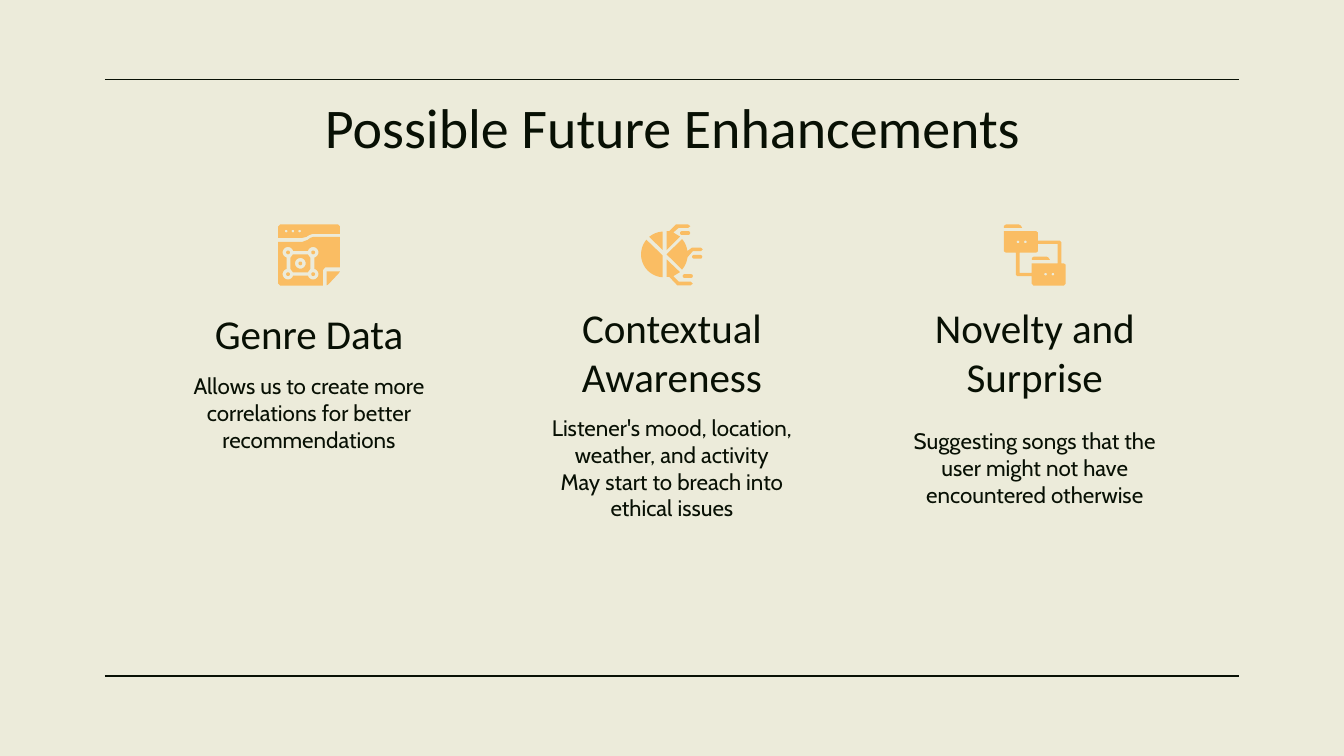
from dataclasses import dataclass
from math import cos, radians, sin

from lxml import etree
from pptx import Presentation
from pptx.dml.color import RGBColor
from pptx.enum.shapes import MSO_CONNECTOR
from pptx.enum.text import MSO_ANCHOR, PP_ALIGN
from pptx.oxml.ns import qn
from pptx.util import Inches, Pt

STRAIGHT = MSO_CONNECTOR.STRAIGHT
TOP, BOTTOM = MSO_ANCHOR.TOP, MSO_ANCHOR.BOTTOM
CENTER = PP_ALIGN.CENTER
CREAM, INK, AMBER = "ECEBDA", "081004", "FABD63"
SLIDE_WIDTH = 10
SLIDE_HEIGHT = SLIDE_WIDTH * 9 / 16
COLUMN_LEFT, COLUMN_STEP, COLUMN_WIDTH = 1.22, 2.7, 2.16
ICON_INSET, ICON_TOP, ICON_UNIT = 0.85, 1.67, 0.01

Contour = list[tuple[float, float]]
Icon = list[list[Contour]]


@dataclass
class Column:
    """One enhancement: its icon, heading and body, with their vertical places."""
    icon: Icon
    heading: str
    heading_top: float
    heading_height: float
    body: list[str]
    body_top: float
    body_height: float


def rgb(color: str) -> RGBColor:
    """Turn a hex string into a colour."""
    return RGBColor.from_string(color)


def arc(cx: float, cy: float, r: float, start: float, end: float) -> Contour:
    """Return points along a circular arc, angles in degrees clockwise from east."""
    angles = [radians(start + (end - start) * i / 24) for i in range(25)]
    return [(cx + r * cos(a), cy + r * sin(a)) for a in angles]


def dot(cx: float, cy: float, r: float = 1.4) -> Contour:
    """Return a circle."""
    return arc(cx, cy, r, 0, 360)


def pill(x: float, y: float, w: float = 7.5, h: float = 2.8) -> Contour:
    """Return a bar with round ends."""
    r = h / 2
    return arc(x + r, y + r, r, 90, 270) + arc(x + w - r, y + r, r, -90, 90)


def tab(x: float, y: float) -> Contour:
    """Return the tab on top of a folder."""
    return [(x, y + 2.5), (x, y + 1), (x + 1.5, y), (x + 11, y), (x + 12.5, y + 0.8), (x + 13.5, y + 2.5)]


def genre_icon() -> Icon:
    """Return a window with a node diagram and a folded corner."""
    header = [(1.5, 0), (44.5, 0), (46, 1.5), (46, 7), (26, 7), (23, 8), (21, 9.3), (18, 10), (0, 10), (0, 1.5)]
    page = [(0, 13), (18, 13), (22, 11.5), (24, 10), (26, 9.3), (46, 9.3), (46, 32), (35, 32),
            (33.3, 34), (33.3, 45.5), (1.5, 45.5), (0, 44)]
    frame = (arc(7.3, 20.8, 4, 105, 345) + arc(26, 20.8, 4, 195, 435)
             + arc(26, 37, 4, -75, 165) + arc(7.3, 37, 4, 15, 255))
    hub = [(11, 22.3), (22, 22.3), (24, 25), (24, 33), (22, 35.7), (11, 35.7), (9, 33), (9, 25)]
    corner = [(36, 35), (46, 35), (45, 36.5), (37, 45), (36, 45.3)]
    nodes = [(7.3, 20.8), (26, 20.8), (16.5, 29), (7.3, 37), (26, 37)]
    return [[header] + [dot(x, 5, 1) for x in (6, 11, 16)], [page, frame],
            [hub, dot(16.5, 29, 4)], [corner]] + [[dot(x, y)] for x, y in nodes]


def context_icon() -> Icon:
    """Return a sliced pie with callout arms."""
    left = arc(17, 22.3, 17, 93, 220) + [(16, 23)]
    upper_left = arc(17, 22.3, 17, 230, 267) + [(16, 19)]
    upper = [(19, 5), (21, 5), (26, 0), (35, 0), (36.7, 1.3), (35, 2.6), (28, 2.6), (24, 6), (29, 9), (19, 19)]
    lower = [(19, 26), (29, 35.5), (24, 38.5), (28, 42.5), (37, 42.5), (38.5, 44), (37, 45.4),
             (27, 45.4), (21, 39), (19, 39)]
    right = ([(19, 22.3)] + arc(17, 22.3, 17.7, -40, -8) + [(38, 17.3), (44.5, 17.3), (46, 18.6),
             (44.5, 20), (38.5, 20), (35, 24)] + arc(17, 22.3, 17.7, 8, 40))
    bars = [(29, 5), (38, 22.7), (31, 37)]
    return [[c] for c in (left, upper_left, upper, lower, right)] + [[pill(x, y)] for x, y in bars]


def novelty_icon() -> Icon:
    """Return two linked folders."""
    folders = [(0, 5), (24, 5), (25.3, 6), (25.3, 12), (41.5, 12), (42.8, 13.3), (42.8, 29), (44.7, 29),
               (46, 30), (46, 44), (44.7, 45.5), (22, 45.5), (20.7, 44), (20.7, 38.5), (10, 38.5),
               (9, 37.5), (9, 21), (1.5, 21), (0, 20)]
    gap = [(40, 14.5), (40, 29), (20.7, 29), (20.7, 36), (11.7, 36), (11.7, 21), (24, 21), (25.3, 20), (25.3, 14.5)]
    eyes = [(10.5, 13), (16, 13), (31, 37), (36.5, 37)]
    return [[tab(0, 0)], [tab(20.7, 24)], [folders, gap] + [dot(x, y, 1) for x, y in eyes]]


def add_icon(s, icon: Icon, left: float, top: float) -> None:
    """Draw each outline of an icon as a filled freeform."""
    for outline in icon:
        contours = [[(Inches(left + x * ICON_UNIT), Inches(top + y * ICON_UNIT)) for x, y in c] for c in outline]
        builder = s.shapes.build_freeform(*contours[0][0])
        builder.add_line_segments(contours[0][1:])
        for contour in contours[1:]:
            builder.move_to(*contour[0])
            builder.add_line_segments(contour[1:])
        sp = builder.convert_to_shape()
        sp.shadow.inherit = False
        sp.fill.solid()
        sp.fill.fore_color.rgb = rgb(AMBER)
        sp.line.fill.background()


def add_rule(s, y: float) -> None:
    """Draw a thin horizontal line across the slide."""
    line = s.shapes.add_connector(STRAIGHT, Inches(0.78), Inches(y), Inches(9.22), Inches(y))
    line.line.color.rgb = rgb(INK)
    line.line.width = Pt(0.75)
    etree.SubElement(line._element.spPr, qn("a:effectLst"))


def add_text(s, paragraphs: list[str], left: float, top: float, width: float, height: float, *,
             size: float, font: str = "Calibri", anchor: MSO_ANCHOR = TOP) -> None:
    """Add a centred text box with one paragraph per string."""
    tf = s.shapes.add_textbox(Inches(left), Inches(top), Inches(width), Inches(height)).text_frame
    tf.word_wrap = True
    tf.vertical_anchor = anchor
    tf.margin_left = tf.margin_right = tf.margin_top = tf.margin_bottom = Inches(0.1)
    for i, text in enumerate(paragraphs):
        p = tf.add_paragraph() if i else tf.paragraphs[0]
        p.alignment = CENTER
        r = p.add_run()
        r.text = text
        r.font.size = Pt(size)
        r.font.name = font
        r.font.color.rgb = rgb(INK)


def add_column(s, column: Column, left: float) -> None:
    """Draw an icon with its heading and body below."""
    add_icon(s, column.icon, left + ICON_INSET, ICON_TOP)
    add_text(s, [column.heading], left, column.heading_top, COLUMN_WIDTH, column.heading_height,
             size=22, anchor=BOTTOM)
    add_text(s, column.body, left, column.body_top, COLUMN_WIDTH, column.body_height, size=12, font="Cabin")


def main() -> None:
    """Build the slide and save it."""
    prs = Presentation()
    prs.slide_width, prs.slide_height = Inches(SLIDE_WIDTH), Inches(SLIDE_HEIGHT)
    s = prs.slides.add_slide(prs.slide_layouts[6])
    s.background.fill.solid()
    s.background.fill.fore_color.rgb = rgb(CREAM)
    for y in (0.59, 5.03):
        add_rule(s, y)
    add_text(s, ["Possible Future Enhancements"], 0.79, 0.59, 8.43, 0.63, size=30)
    columns = [
        Column(genre_icon(), "Genre Data", 2.35, 0.41,
               ["Allows us to create more correlations for better recommendations"], 2.67, 0.72),
        Column(context_icon(), "Contextual Awareness", 2.36, 0.72,
               ["Listener's mood, location, weather, and activity",
                "May start to breach into ethical issues"], 2.98, 0.98),
        Column(novelty_icon(), "Novelty and Surprise", 2.36, 0.72,
               ["Suggesting songs that the user might not have encountered otherwise"], 3.08, 0.53),
    ]
    for i, column in enumerate(columns):
        add_column(s, column, COLUMN_LEFT + i * COLUMN_STEP)
    prs.save("out.pptx")


if __name__ == "__main__":
    main()
